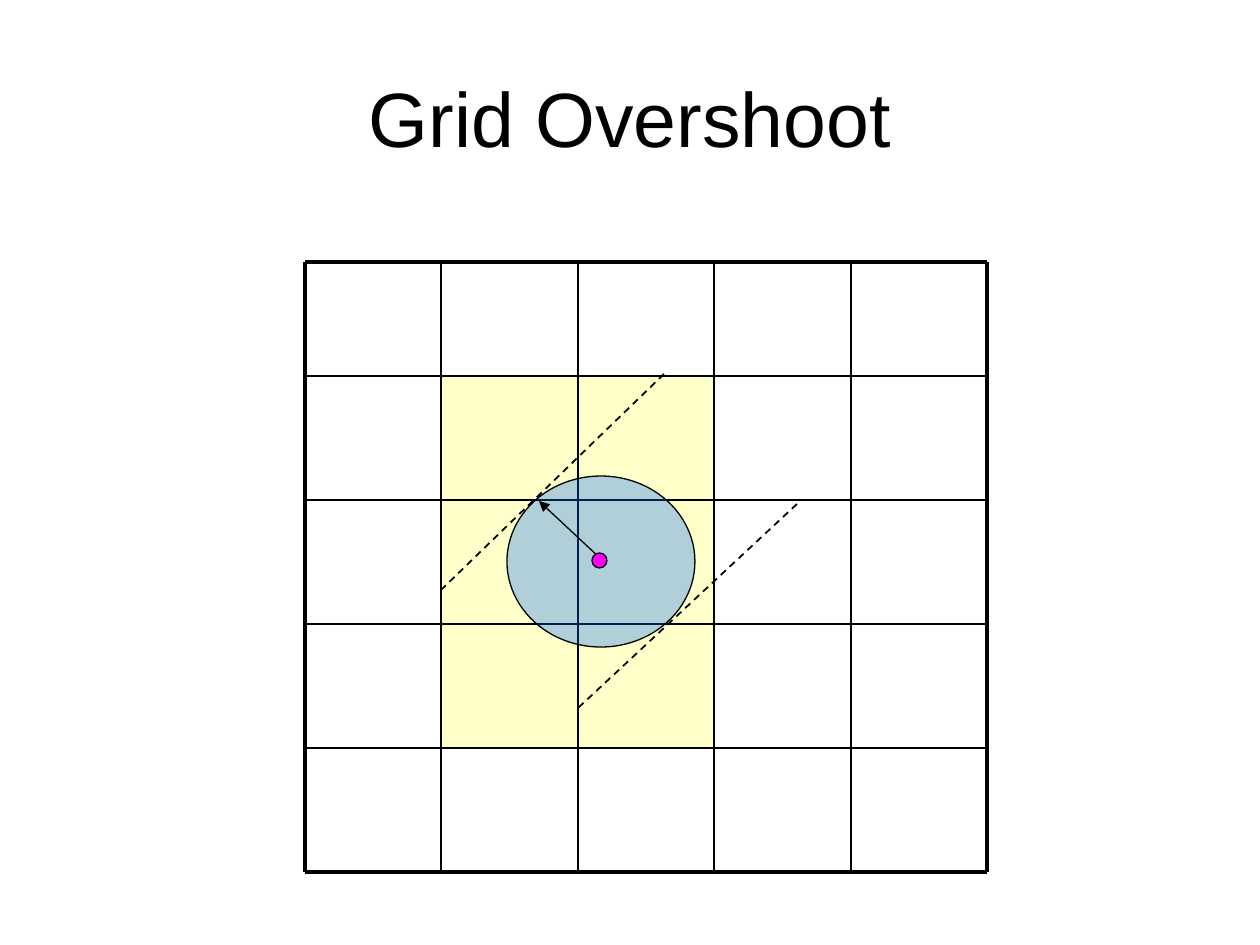
from dataclasses import dataclass

import lxml.etree
import pptx
import pptx.dml.color
import pptx.enum.dml
import pptx.enum.shapes
import pptx.enum.text
import pptx.oxml.ns
import pptx.util

SHAPES = pptx.enum.shapes.MSO_SHAPE


@dataclass(frozen=True)
class Theme:
    """Colours, type and line weights of the slide."""

    font: str = "Arial"
    title_size: int = 44
    ink: str = "000000"
    cell: str = "FFFF66"
    region: str = "0066FF"
    sample: str = "FF00FF"
    frame_weight: float = 2.25
    grid_weight: float = 1
    outline_weight: float = 0.75


class Painter:
    """Draws styled elements on one slide, with lengths in px."""

    def __init__(self, deck, theme, scale):
        self.theme = theme
        self.scale = scale
        self.page = deck.slides.add_slide(deck.slide_layouts[6])

    def emu(self, *lengths):
        return [pptx.util.Emu(round(length * self.scale)) for length in lengths]

    def color(self, value):
        return pptx.dml.color.RGBColor.from_string(value)

    def child(self, parent, tag, **attributes):
        return lxml.etree.SubElement(parent, pptx.oxml.ns.qn(tag), **attributes)

    def title(self, text, left, top, width, height):
        box = self.page.shapes.add_textbox(*self.emu(left, top, width, height))
        frame = box.text_frame
        frame.word_wrap = True
        frame.vertical_anchor = pptx.enum.text.MSO_ANCHOR.MIDDLE
        frame.text = text
        para = frame.paragraphs[0]
        para.alignment = pptx.enum.text.PP_ALIGN.CENTER
        font = para.runs[0].font
        font.name = self.theme.font
        font.size = pptx.util.Pt(self.theme.title_size)
        font.color.rgb = self.color(self.theme.ink)

    def shape(self, preset, left, top, width, height, fill, opacity=100, outlined=True):
        shape = self.page.shapes.add_shape(preset, *self.emu(left, top, width, height))
        shape.shadow.inherit = False
        shape.fill.solid()
        shape.fill.fore_color.rgb = self.color(fill)
        if opacity < 100:
            tint = shape.fill._xPr.find(".//" + pptx.oxml.ns.qn("a:srgbClr"))
            self.child(tint, "a:alpha", val=str(opacity * 1000))
        if outlined:
            shape.line.color.rgb = self.color(self.theme.ink)
            shape.line.width = pptx.util.Pt(self.theme.outline_weight)
        else:
            shape.line.fill.background()

    def line(self, start, end, weight, dashed=False, arrow=False):
        line = self.page.shapes.add_connector(
            pptx.enum.shapes.MSO_CONNECTOR.STRAIGHT, *self.emu(*start, *end)
        )
        line.line.color.rgb = self.color(self.theme.ink)
        line.line.width = pptx.util.Pt(weight)
        if dashed:
            line.line.dash_style = pptx.enum.dml.MSO_LINE.DASH
        if arrow:
            self.child(line.line._get_or_add_ln(), "a:tailEnd", type="triangle")
        self.child(line._element.spPr, "a:effectLst")

    def grid(self, columns, rows):
        left, right, top, bottom = columns[0], columns[-1], rows[0], rows[-1]
        for y in rows:
            self.line((left, y), (right, y), self.weight(y in (top, bottom)))
        for x in columns:
            self.line((x, top), (x, bottom), self.weight(x in (left, right)))

    def weight(self, on_frame):
        return self.theme.frame_weight if on_frame else self.theme.grid_weight


def main():
    deck = pptx.Presentation()
    deck.slide_width = pptx.util.Inches(10)
    deck.slide_height = pptx.util.Inches(7.5)
    theme = Theme()
    painter = Painter(deck, theme, pptx.util.Inches(1) / 126)

    painter.title("Grid Overshoot", 63, 38, 1134, 158)

    columns = [round(305 + 136.4 * index) for index in range(6)]
    rows = [262] + [376 + 124 * index for index in range(5)]
    for x, right in zip(columns[1:3], columns[2:4]):
        for y, bottom in zip(rows[1:4], rows[2:5]):
            painter.shape(
                SHAPES.RECTANGLE, x, y, right - x, bottom - y, theme.cell, 35, False
            )
    painter.grid(columns, rows)

    painter.shape(SHAPES.OVAL, 507, 476, 188, 171, theme.region, 31)
    painter.line((601, 559), (539, 501), theme.outline_weight, arrow=True)
    painter.shape(SHAPES.OVAL, 592, 553, 15, 15, theme.sample)
    for start, end in (((664, 374), (440, 591)), ((797, 504), (577, 709))):
        painter.line(start, end, theme.grid_weight, dashed=True)

    deck.save("out.pptx")


if __name__ == "__main__":
    main()
